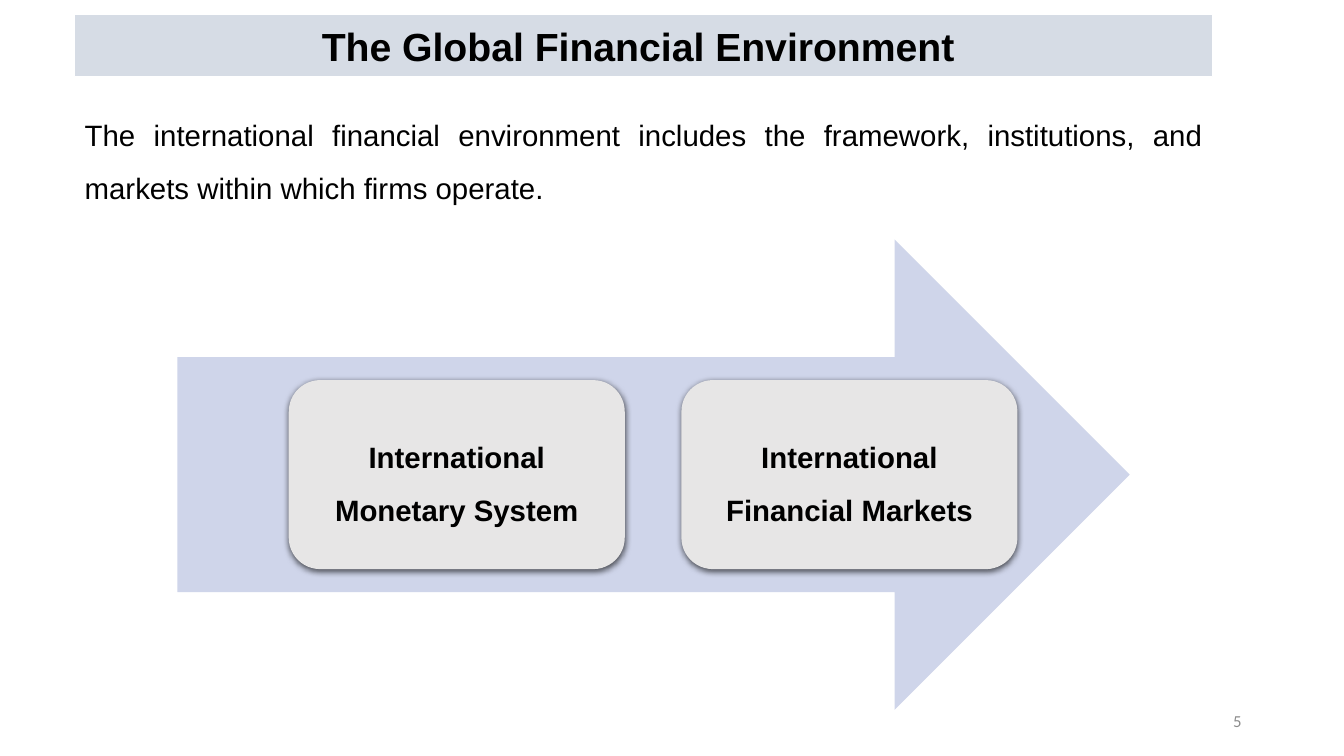
"""Build the slide on the global financial environment."""
import dataclasses
import typing

import lxml.etree
import pptx
import pptx.dml.color
import pptx.enum.shapes
import pptx.enum.text
import pptx.oxml
import pptx.oxml.ns
import pptx.util

PX = 9525
ALIGN = pptx.enum.text.PP_ALIGN
ANCHOR = pptx.enum.text.MSO_ANCHOR
AUTO = pptx.enum.text.MSO_AUTO_SIZE
SHAPE = pptx.enum.shapes.MSO_SHAPE
BLACK = "000000"
CARD_TOP, CARD_W, CARD_H = 362, 320, 180
CARD_LEFT, CARD_STEP = 275, 374
SHADOW = (
    f'<a:effectLst {pptx.oxml.ns.nsdecls("a")}>'
    '<a:outerShdw blurRad="57150" dist="19050" dir="5400000" algn="ctr" rotWithShape="0">'
    '<a:srgbClr val="000000"><a:alpha val="63000"/></a:srgbClr>'
    "</a:outerShdw></a:effectLst>"
)


@dataclasses.dataclass(frozen=True)
class Box:
    left: int
    top: int
    width: int
    height: int

    def emu(self) -> list[int]:
        return [v * PX for v in dataclasses.astuple(self)]


@dataclasses.dataclass(frozen=True)
class Label:
    text: str
    size: int
    align: typing.Any
    color: str = BLACK
    font: str = "Arial"
    bold: bool = False
    spacing: float = 1.0
    after: float = 0
    anchor: typing.Any = ANCHOR.MIDDLE
    auto_size: typing.Any = AUTO.NONE


def rgb(value: str) -> pptx.dml.color.RGBColor:
    return pptx.dml.color.RGBColor.from_string(value)


def assign(target: typing.Any, values: dict[str, typing.Any]) -> None:
    for name, value in values.items():
        setattr(target, name, value)


def place(sp: typing.Any, box: Box) -> None:
    assign(sp, dict(zip(("left", "top", "width", "height"), box.emu())))


def write(sp: typing.Any, label: Label) -> None:
    tf = sp.text_frame
    assign(tf, {"word_wrap": True, "auto_size": label.auto_size,
                "vertical_anchor": label.anchor})
    p = tf.paragraphs[0]
    assign(p, {"alignment": label.align, "line_spacing": label.spacing,
               "space_before": pptx.util.Pt(0), "space_after": pptx.util.Pt(label.after)})
    r = p.add_run()
    r.text = label.text
    assign(r.font, {"name": label.font, "size": pptx.util.Pt(label.size), "bold": label.bold})
    r.font.color.rgb = rgb(label.color)


def fill(sp: typing.Any, color: str) -> None:
    sp.fill.solid()
    sp.fill.fore_color.rgb = rgb(color)


def add_block(s: typing.Any, kind: typing.Any, box: Box, color: str) -> typing.Any:
    sp = s.shapes.add_shape(kind, *box.emu())
    sp.shadow.inherit = False
    fill(sp, color)
    sp.line.fill.background()
    return sp


def add_card(s: typing.Any, index: int, text: str) -> None:
    box = Box(CARD_LEFT + index * CARD_STEP, CARD_TOP, CARD_W, CARD_H)
    sp = add_block(s, SHAPE.ROUNDED_RECTANGLE, box, "E7E6E6")
    effects = sp.element.spPr.find(pptx.oxml.ns.qn("a:effectLst"))
    effects.getparent().replace(effects, pptx.oxml.parse_xml(SHADOW))
    sides = ("margin_left", "margin_top", "margin_right", "margin_bottom")
    assign(sp.text_frame, dict.fromkeys(sides, 17 * PX))
    write(sp, Label(text, 21, ALIGN.CENTER, bold=True, spacing=1.5, after=7.35))


def main() -> None:
    prs = pptx.Presentation()
    assign(prs, {"slide_width": 1280 * PX, "slide_height": 720 * PX})
    s = prs.slides.add_slide(prs.slide_layouts[1])

    title = s.shapes.title
    place(title, Box(71, 14, 1084, 59))
    fill(title, "D6DCE5")
    title.line.color.rgb = rgb("FFFFFF")
    title.line.width = pptx.util.Pt(1)
    write(title, Label("The Global Financial Environment ", 28, ALIGN.CENTER, bold=True))

    body = s.placeholders[1]
    place(body, Box(71, 90, 1084, 106))
    pPr = body.text_frame.paragraphs[0]._p.get_or_add_pPr()
    pPr.set("marL", "0")
    pPr.set("indent", "0")
    lxml.etree.SubElement(pPr, pptx.oxml.ns.qn("a:buNone"))
    write(body, Label(
        "The international financial environment includes the framework, "
        "institutions, and markets within which firms operate.",
        21, ALIGN.JUSTIFY, spacing=1.5, anchor=ANCHOR.TOP,
        auto_size=AUTO.SHAPE_TO_FIT_TEXT))

    add_block(s, SHAPE.RIGHT_ARROW, Box(169, 228, 907, 448), "CFD5EA")
    for i, text in enumerate(("International Monetary System",
                              "International Financial Markets")):
        add_card(s, i, text)

    number = s.shapes.add_textbox(*Box(904, 667, 288, 38).emu())
    write(number, Label("5", 12, ALIGN.RIGHT, color="8C8C8C", font="Calibri"))
    prs.save("out.pptx")


if __name__ == "__main__":
    main()
